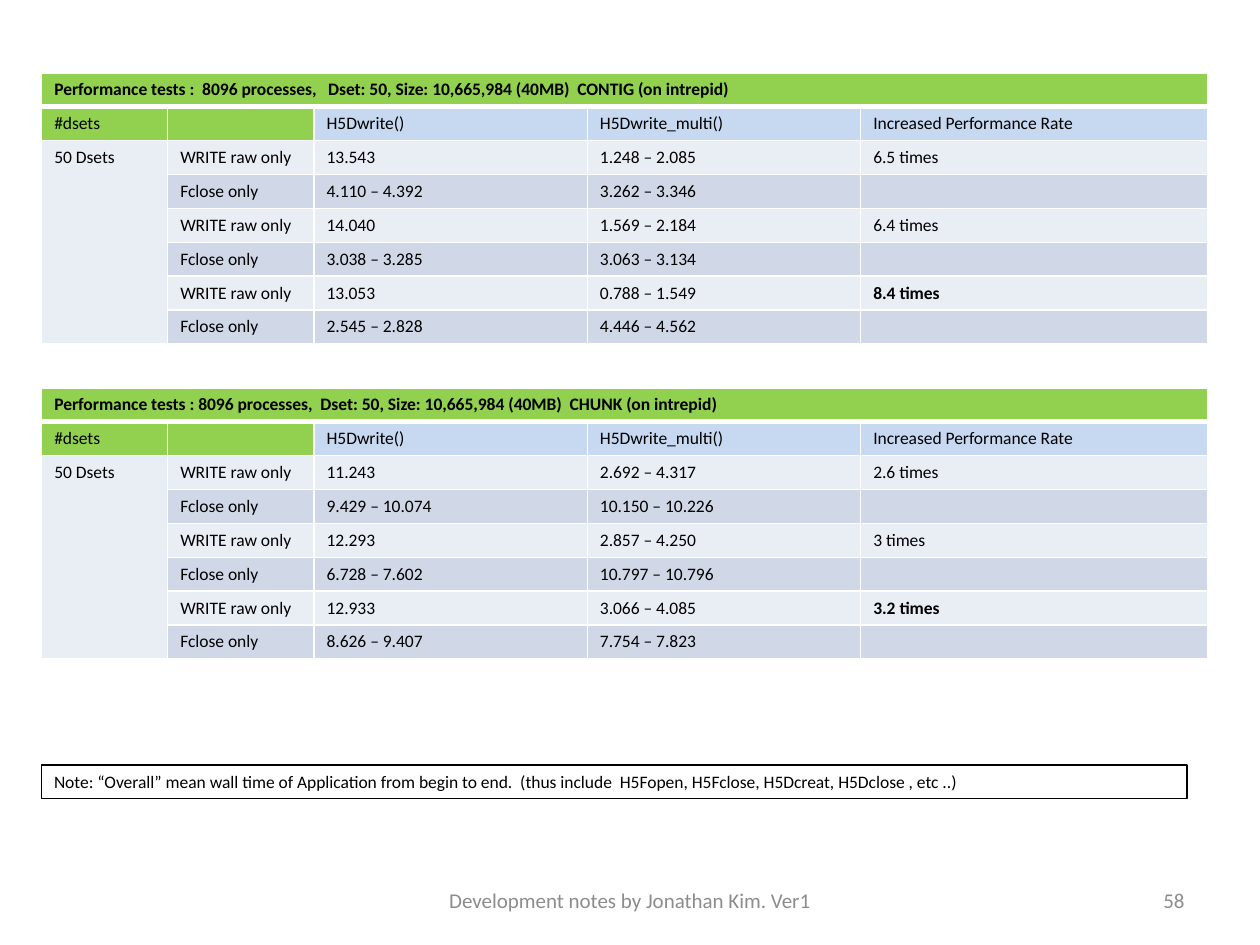
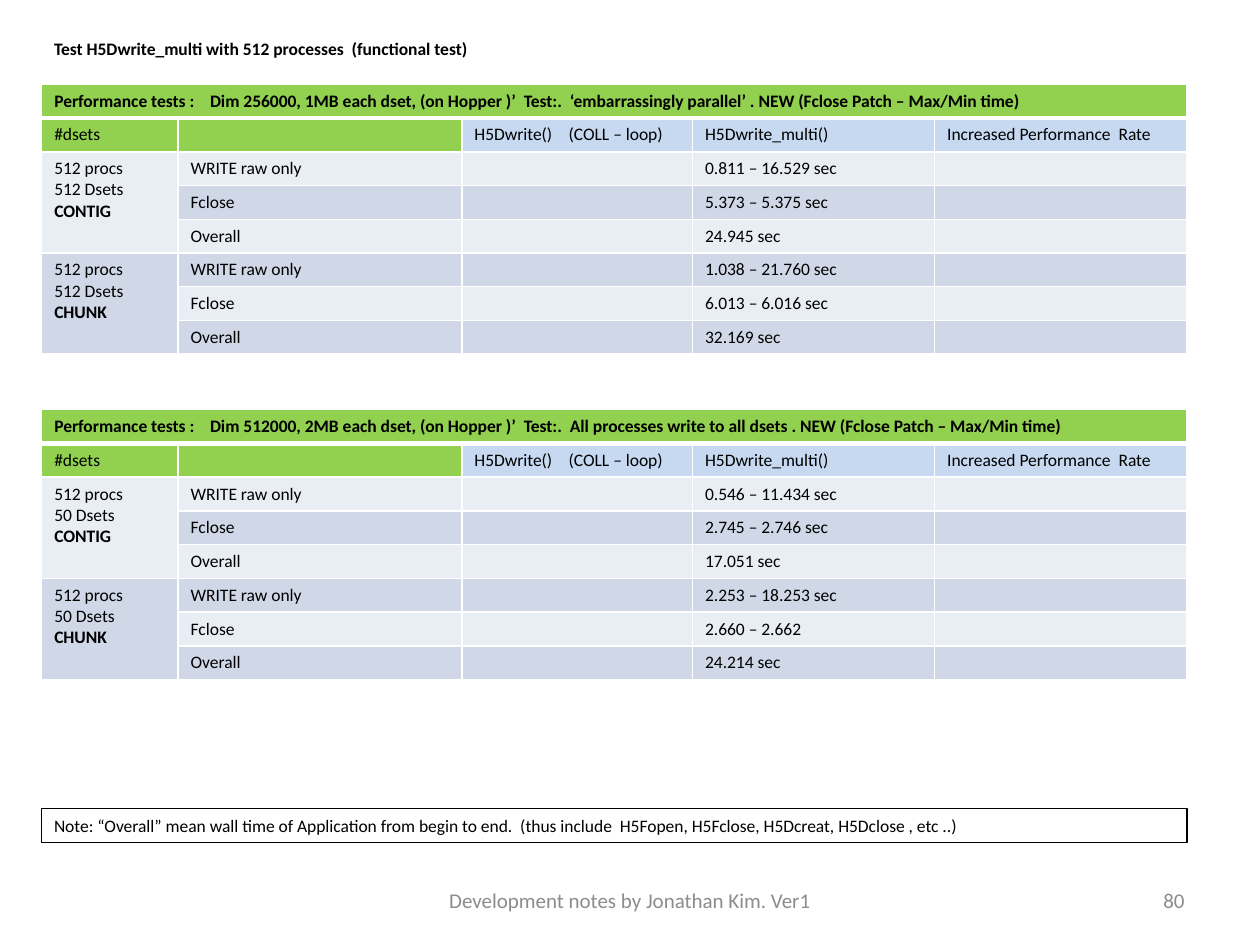
"""Build two slides of write performance tables with a shared note and footer."""
import dataclasses

import lxml.etree
import pptx
import pptx.dml.color
import pptx.enum.shapes
import pptx.enum.text
import pptx.oxml.ns
import pptx.util

Cm = pptx.util.Cm
Pt = pptx.util.Pt
ALIGN = pptx.enum.text.PP_ALIGN
ANCHOR = pptx.enum.text.MSO_ANCHOR


@dataclasses.dataclass(frozen=True)
class Theme:
    font: str = "Calibri"
    body_size: int = 10
    footer_size: int = 12
    ink: str = "000000"
    footer_ink: str = "8C8C8C"
    border: str = "FFFFFF"
    title_fill: str = "92D050"
    header_fill: str = "C6D9F1"
    bands: tuple = ("E9EDF4", "D0D8E8")
    thin: float = 1
    thick: float = 3
    outline: float = 0.75


THEME = Theme()

NOTE = (
    "Note: “Overall” mean wall time of Application from begin to end.  "
    "(thus include  H5Fopen, H5Fclose, H5Dcreat, H5Dclose , etc ..)"
)
FOOTER = "Development notes by Jonathan Kim. Ver1"
BOLD_TEXTS = {"CONTIG", "CHUNK", "8.4 times", "3.2 times"}
RATE_HEADERS = ("#dsets", "", "H5Dwrite()", "H5Dwrite_multi()", "Increased Performance Rate")
LOOP_HEADERS = (
    "#dsets", "", "H5Dwrite()\t(COLL – loop)", "H5Dwrite_multi()", "Increased Performance  Rate",
)
RATE_STEPS = ("WRITE raw only", "Fclose only") * 3
LOOP_STEPS = ("WRITE raw only", "Fclose", "Overall")

SLIDES = [
    {
        "number": "58",
        "heading": "",
        "note_top": 15.42,
        "columns": (2.54, 2.95, 5.51, 5.51, 6.99),
        "headers": RATE_HEADERS,
        "steps": RATE_STEPS,
        "tables": [
            {
                "top": 1.47,
                "title": "Performance tests :  8096 processes,\tDset: 50, Size: 10,665,984 (40MB)  CONTIG (on intrepid)",
                "title_tab": 5.52,
                "groups": [("50 Dsets", [
                    ("13.543", "1.248 – 2.085", "6.5 times"),
                    ("4.110 – 4.392", "3.262 – 3.346", ""),
                    ("14.040", "1.569 – 2.184", "6.4 times"),
                    ("3.038 – 3.285", "3.063 – 3.134", ""),
                    ("13.053", "0.788 – 1.549", "8.4 times"),
                    ("2.545 – 2.828", "4.446 – 4.562", ""),
                ])],
            },
            {
                "top": 7.82,
                "title": "Performance tests : 8096 processes,  Dset: 50, Size: 10,665,984 (40MB)  CHUNK (on intrepid)",
                "title_tab": 5.52,
                "groups": [("50 Dsets", [
                    ("11.243", "2.692 – 4.317", "2.6 times"),
                    ("9.429 – 10.074", "10.150 – 10.226", ""),
                    ("12.293", "2.857 – 4.250", "3 times"),
                    ("6.728 – 7.602", "10.797 – 10.796", ""),
                    ("12.933", "3.066 – 4.085", "3.2 times"),
                    ("8.626 – 9.407", "7.754 – 7.823", ""),
                ])],
            },
        ],
    },
    {
        "number": "80",
        "heading": "Test H5Dwrite_multi with 512 processes  (functional test)",
        "note_top": 16.3,
        "columns": (2.75, 5.72, 4.65, 4.88, 5.08),
        "headers": LOOP_HEADERS,
        "steps": LOOP_STEPS,
        "tables": [
            {
                "top": 1.7,
                "title": "Performance tests :\tDim 256000, 1MB each dset, (on Hopper )’  Test:.  ‘embarrassingly parallel’ . NEW (Fclose Patch – Max/Min time)",
                "title_tab": 3.14,
                "groups": [
                    ("512 procs\n512 Dsets\nCONTIG", [
                        ("", "0.811 – 16.529 sec", ""),
                        ("", "5.373 – 5.375 sec", ""),
                        ("", "24.945 sec", ""),
                    ]),
                    ("512 procs\n512 Dsets\nCHUNK", [
                        ("", "1.038 – 21.760 sec", ""),
                        ("", "6.013 – 6.016 sec", ""),
                        ("", "32.169 sec", ""),
                    ]),
                ],
            },
            {
                "top": 8.26,
                "title": "Performance tests :\tDim 512000, 2MB each dset, (on Hopper )’  Test:.  All processes write to all dsets . NEW (Fclose Patch – Max/Min time)",
                "title_tab": 3.14,
                "groups": [
                    ("512 procs\n50 Dsets\nCONTIG", [
                        ("", "0.546 – 11.434 sec", ""),
                        ("", "2.745 – 2.746 sec", ""),
                        ("", "17.051 sec", ""),
                    ]),
                    ("512 procs\n50 Dsets\nCHUNK", [
                        ("", "2.253 – 18.253 sec", ""),
                        ("", "2.660 – 2.662", ""),
                        ("", "24.214 sec", ""),
                    ]),
                ],
            },
        ],
    },
]

LEFT = 0.84
ROW_HEIGHT = 0.68
HEADER_TAB = 1.9


def color(value):
    return pptx.dml.color.RGBColor.from_string(value)


def add_element(parent, tag, **attributes):
    return lxml.etree.SubElement(parent, pptx.oxml.ns.qn(tag), **attributes)


def write_text(text_frame, text, size=THEME.body_size, ink=THEME.ink, bold=False,
               align=ALIGN.LEFT, tab=None):
    text_frame.text = text
    for paragraph in text_frame.paragraphs:
        paragraph.alignment = align
        if "\t" in text:
            tabs = add_element(paragraph._p.get_or_add_pPr(), "a:tabLst")
            add_element(tabs, "a:tab", pos=str(Cm(tab)), algn="l")
        for run in paragraph.runs:
            run.font.name = THEME.font
            run.font.size = Pt(size)
            run.font.bold = bold or run.text in BOLD_TEXTS
            run.font.color.rgb = color(ink)
        if not paragraph.runs:
            add_element(paragraph._p, "a:endParaRPr", sz=str(size * 100))


def style_cell(cell, fill, top, bottom):
    properties = cell._tc.get_or_add_tcPr()
    widths = {"a:lnL": THEME.thin, "a:lnR": THEME.thin, "a:lnT": top, "a:lnB": bottom}
    for tag, width in widths.items():
        line = add_element(properties, tag, w=str(Pt(width)))
        add_element(add_element(line, "a:solidFill"), "a:srgbClr", val=THEME.border)
    cell.fill.solid()
    cell.fill.fore_color.rgb = color(fill)


def table_rows(content, headers, steps):
    rows = [(content["title"], "", "", "", ""), headers]
    for label, results in content["groups"]:
        for index, (step, values) in enumerate(zip(steps, results)):
            rows.append((label if index == 0 else "", step, *values))
    return rows


def cell_fill(row, column):
    if row == 0 or (row == 1 and column < 2):
        return THEME.title_fill
    return THEME.header_fill if row == 1 else THEME.bands[row % 2]


def add_results_table(slide, content, layout):
    rows = table_rows(content, layout["headers"], layout["steps"])
    columns = layout["columns"]
    table = slide.shapes.add_table(
        len(rows), len(columns), Cm(LEFT), Cm(content["top"]),
        Cm(sum(columns)), Cm(ROW_HEIGHT * len(rows)),
    ).table
    table.first_row = table.horz_banding = False
    for column, width in zip(table.columns, columns):
        column.width = Cm(width)
    for row_index, texts in enumerate(rows):
        table.rows[row_index].height = Cm(ROW_HEIGHT)
        top = THEME.thick if row_index == 1 else THEME.thin
        bottom = THEME.thick if row_index == 0 else THEME.thin
        tab = content["title_tab"] if row_index == 0 else HEADER_TAB
        for column_index, text in enumerate(texts):
            cell = table.cell(row_index, column_index)
            style_cell(cell, cell_fill(row_index, column_index), top, bottom)
            write_text(cell.text_frame, text, bold=row_index == 0, tab=tab)
    table.cell(0, 0).merge(table.cell(0, len(columns) - 1))
    first = 2
    for _, results in content["groups"]:
        last = first + len(results) - 1
        table.cell(first, 0).merge(table.cell(last, 0))
        first = last + 1


def add_text(slide, box, text, anchor=ANCHOR.TOP, **style):
    shape = slide.shapes.add_textbox(*map(Cm, box))
    shape.text_frame.word_wrap = True
    shape.text_frame.vertical_anchor = anchor
    write_text(shape.text_frame, text, **style)


def add_note(slide, top):
    shape = slide.shapes.add_shape(
        pptx.enum.shapes.MSO_SHAPE.RECTANGLE, Cm(LEFT), Cm(top), Cm(23.09), Cm(ROW_HEIGHT))
    shape.shadow.inherit = False
    shape.fill.background()
    shape.line.color.rgb = color(THEME.ink)
    shape.line.width = Pt(THEME.outline)
    shape.text_frame.word_wrap = True
    shape.text_frame.vertical_anchor = ANCHOR.TOP
    write_text(shape.text_frame, NOTE)


def add_footer(slide, number):
    style = {"anchor": ANCHOR.MIDDLE, "size": THEME.footer_size, "ink": THEME.footer_ink}
    add_text(slide, (8.68, 17.65, 8.04, 1.01), FOOTER, align=ALIGN.CENTER, **style)
    add_text(slide, (18.2, 17.65, 5.93, 1.01), number, align=ALIGN.RIGHT, **style)


def main():
    presentation = pptx.Presentation()
    presentation.slide_width, presentation.slide_height = Cm(25.4), Cm(19.05)
    for layout in SLIDES:
        slide = presentation.slides.add_slide(presentation.slide_layouts[6])
        for content in layout["tables"]:
            add_results_table(slide, content, layout)
        if layout["heading"]:
            add_text(slide, (LEFT, 0.64, 9.32, ROW_HEIGHT), layout["heading"], bold=True)
        add_note(slide, layout["note_top"])
        add_footer(slide, layout["number"])
    presentation.save("out.pptx")


if __name__ == "__main__":
    main()
